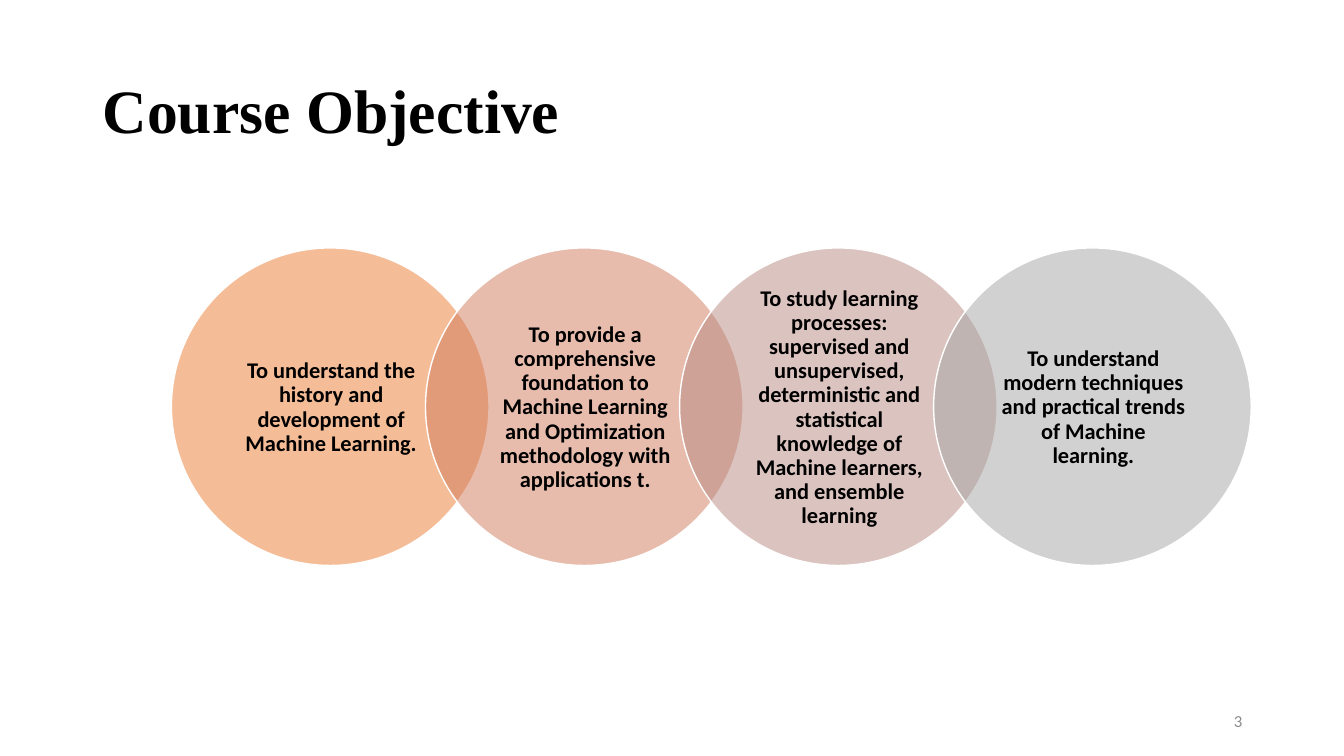
"""Build the Course Objective slide with four overlapping circles."""
from dataclasses import dataclass

from lxml import etree
from pptx import Presentation
from pptx import util as u
from pptx.dml.color import RGBColor
from pptx.enum import shapes, text
from pptx.oxml.ns import qn
from pptx.slide import Slide

COLORS = {
    "black": "000000",
    "white": "FFFFFF",
    "gray": "8C8C8C",
    "orange": "ED7D31",
    "terracotta": "D17B5C",
    "rose": "B98A82",
    "silver": "A5A5A5",
}
CIRCLE_LEFT, CIRCLE_TOP, CIRCLE_SIZE, CIRCLE_STEP = 1.7, 2.46, 3.15, 2.52
LABEL_OFFSET, LABEL_SIZE = 0.47, 2.23


@dataclass(frozen=True)
class Objective:
    wording: str
    color: str


OBJECTIVES = [
    Objective("To understand the history and development of Machine Learning.", "orange"),
    Objective(
        "To provide a comprehensive foundation to Machine Learning and "
        "Optimization methodology with applications t.",
        "terracotta",
    ),
    Objective(
        "To study learning processes: supervised and unsupervised, deterministic "
        "and statistical knowledge of Machine learners, and ensemble learning",
        "rose",
    ),
    Objective(
        "To understand modern techniques and practical trends of Machine learning.",
        "silver",
    ),
]


def add_text(slide: Slide, wording: str, left: float, top: float, width: float,
             height: float, *, size: float, font: str = "Calibri",
             color: str = "black", bold: bool = False,
             align: text.PP_ALIGN = text.PP_ALIGN.LEFT, line_spacing: float = 1.0,
             margins: tuple[float, float] = (0.1, 0.05)) -> None:
    box = slide.shapes.add_textbox(
        u.Inches(left), u.Inches(top), u.Inches(width), u.Inches(height))
    frame = box.text_frame
    frame.word_wrap = True
    frame.vertical_anchor = text.MSO_ANCHOR.MIDDLE
    frame.margin_left = frame.margin_right = u.Inches(margins[0])
    frame.margin_top = frame.margin_bottom = u.Inches(margins[1])
    paragraph = frame.paragraphs[0]
    paragraph.alignment = align
    paragraph.line_spacing = line_spacing
    run = paragraph.add_run()
    run.text = wording
    run.font.name = font
    run.font.size = u.Pt(size)
    run.font.bold = bold
    run.font.color.rgb = RGBColor.from_string(COLORS[color])


def add_circle(slide: Slide, left: float, color: str) -> None:
    circle = slide.shapes.add_shape(
        shapes.MSO_SHAPE.OVAL, u.Inches(left), u.Inches(CIRCLE_TOP),
        u.Inches(CIRCLE_SIZE), u.Inches(CIRCLE_SIZE))
    circle.shadow.inherit = False
    circle.fill.solid()
    circle.fill.fore_color.rgb = RGBColor.from_string(COLORS[color])
    fill_color = circle.fill._xPr.find(qn("a:solidFill"))[0]
    etree.SubElement(fill_color, qn("a:alpha"), val="50000")
    circle.line.color.rgb = RGBColor.from_string(COLORS["white"])
    circle.line.width = u.Pt(1)


def add_objective(slide: Slide, objective: Objective, left: float) -> None:
    add_circle(slide, left, objective.color)
    add_text(slide, objective.wording, left + LABEL_OFFSET, CIRCLE_TOP + LABEL_OFFSET,
             LABEL_SIZE, LABEL_SIZE, size=16, bold=True, align=text.PP_ALIGN.CENTER,
             line_spacing=0.9, margins=(0.17, 0.02))


def main() -> None:
    presentation = Presentation()
    presentation.slide_width = u.Inches(13.33)
    presentation.slide_height = u.Inches(7.5)
    slide = presentation.slides.add_slide(presentation.slide_layouts[6])
    add_text(slide, "Course Objective", 0.92, 0.4, 11.5, 1.45, size=44,
             font="Times New Roman", bold=True, line_spacing=0.9)
    add_text(slide, "3", 9.42, 6.95, 3, 0.4, size=12, color="gray",
             align=text.PP_ALIGN.RIGHT)
    for index, objective in enumerate(OBJECTIVES):
        add_objective(slide, objective, CIRCLE_LEFT + index * CIRCLE_STEP)
    presentation.save("out.pptx")


if __name__ == "__main__":
    main()
